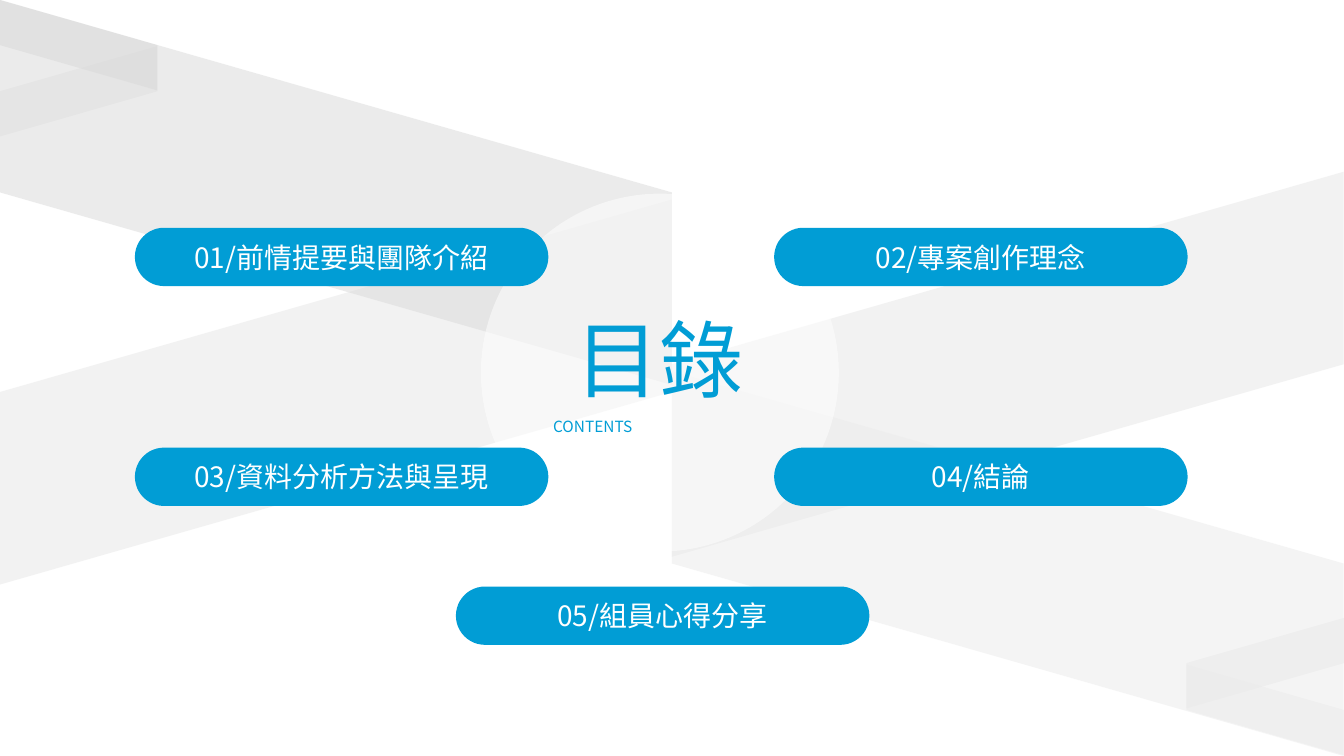
from dataclasses import dataclass

from lxml.etree import SubElement
from pptx import Presentation
from pptx.dml.color import RGBColor
from pptx.enum.shapes import MSO_SHAPE
from pptx.enum.text import MSO_ANCHOR, MSO_AUTO_SIZE, PP_ALIGN
from pptx.oxml.ns import qn
from pptx.shapes.autoshape import Shape
from pptx.slide import Slide
from pptx.util import Cm, Pt

FONT = "Noto Sans CJK JP"
BLUE = "019DD5"
WHITE = "FFFFFF"
PALE = "F2F2F2"
MIDDLE = 16.93


@dataclass
class Band:
    left: float
    top: float
    width: float
    thickness: float
    slope: float
    rising: bool
    colour: str
    opacity: int = 100


@dataclass
class Entry:
    text: str
    left: float
    top: float


LARGE = (MIDDLE, 4.85, 4.85)
SMALL = (3.97, 1.14, 1.14)
BANDS = [
    Band(29.9, 15.57, *SMALL, True, PALE),
    Band(29.9, 16.75, *SMALL, False, "EBEBEB", 50),
    Band(0, 1.16, *SMALL, True, PALE),
    Band(0, 0, *SMALL, False, "D9D9D9", 50),
    Band(MIDDLE, 4.33, *LARGE, True, PALE),
    Band(MIDDLE, 9.35, *LARGE, False, "EBEBEB", 50),
    Band(0, 5.03, *LARGE, True, PALE),
    Band(0, 0, *LARGE, False, "D9D9D9", 50),
]

LEFT, RIGHT = 3.4, 19.51
UPPER, LOWER = 5.74, 11.28
ENTRIES = [
    Entry("01/前情提要與團隊介紹", LEFT, UPPER),
    Entry("02/專案創作理念", RIGHT, UPPER),
    Entry("03/資料分析方法與呈現", LEFT, LOWER),
    Entry("04/結論", RIGHT, LOWER),
    Entry("05/組員心得分享", 11.49, 14.78),
]


def paint(shape: Shape, colour: str, opacity: int = 100) -> None:
    shape.shadow.inherit = False
    shape.line.fill.background()
    shape.fill.solid()
    shape.fill.fore_color.rgb = RGBColor.from_string(colour)
    if opacity < 100:
        tint = shape.element.spPr.find(qn("a:solidFill"))[0]
        SubElement(tint, qn("a:alpha"), val=str(opacity * 1000))


def write(box: Shape, text: str, *, size: int, colour: str = BLUE,
          align: PP_ALIGN = PP_ALIGN.CENTER,
          anchor: MSO_ANCHOR = MSO_ANCHOR.TOP) -> None:
    frame = box.text_frame
    frame.word_wrap = True
    frame.auto_size = MSO_AUTO_SIZE.NONE
    frame.vertical_anchor = anchor
    para = frame.paragraphs[0]
    para.alignment = align
    span = para.add_run()
    span.text = text
    span.font.size = Pt(size)
    span.font.name = FONT
    span.font.color.rgb = RGBColor.from_string(colour)
    SubElement(span.font._element, qn("a:ea"), typeface=FONT)


def draw_band(page: Slide, band: Band) -> None:
    start, end = (band.slope, 0) if band.rising else (0, band.slope)
    right = band.left + band.width
    corners = [
        (band.left, band.top + start),
        (right, band.top + end),
        (right, band.top + end + band.thickness),
        (band.left, band.top + start + band.thickness),
    ]
    points = [(Cm(x), Cm(y)) for x, y in corners]
    builder = page.shapes.build_freeform(*points[0])
    builder.add_line_segments(points[1:], close=True)
    paint(builder.convert_to_shape(), band.colour, band.opacity)


def draw_circle(page: Slide) -> Shape:
    circle = page.shapes.add_shape(
        MSO_SHAPE.OVAL, Cm(12.12), Cm(4.88), Cm(9.02), Cm(9.02))
    paint(circle, WHITE, 51)
    return circle


def draw_heading(page: Slide, circle: Shape) -> None:
    title = page.shapes.title
    title.left, title.top = Cm(13.13), Cm(7.65)
    title.width, title.height = Cm(7), Cm(2.74)
    title.text_frame.margin_top = title.text_frame.margin_bottom = Cm(0.1)
    write(title, "目錄", size=60)
    circle.element.addnext(title.element)
    subtitle = page.shapes.add_textbox(
        Cm(13.69), Cm(10.39), Cm(5.92), Cm(0.74))
    write(subtitle, "CONTENTS", size=11, align=PP_ALIGN.JUSTIFY)


def draw_entry(page: Slide, entry: Entry) -> None:
    button = page.shapes.add_shape(
        MSO_SHAPE.ROUNDED_RECTANGLE,
        Cm(entry.left), Cm(entry.top), Cm(10.42), Cm(1.47))
    button.adjustments[0] = 0.5
    paint(button, BLUE)
    write(button, entry.text, size=20, colour=WHITE, anchor=MSO_ANCHOR.MIDDLE)


def main() -> None:
    deck = Presentation()
    deck.slide_width, deck.slide_height = Cm(33.87), Cm(19.05)
    page = deck.slides.add_slide(deck.slide_layouts.get_by_name("Title Only"))
    for band in BANDS:
        draw_band(page, band)
    draw_heading(page, draw_circle(page))
    for entry in ENTRIES:
        draw_entry(page, entry)
    deck.save("out.pptx")


if __name__ == "__main__":
    main()
